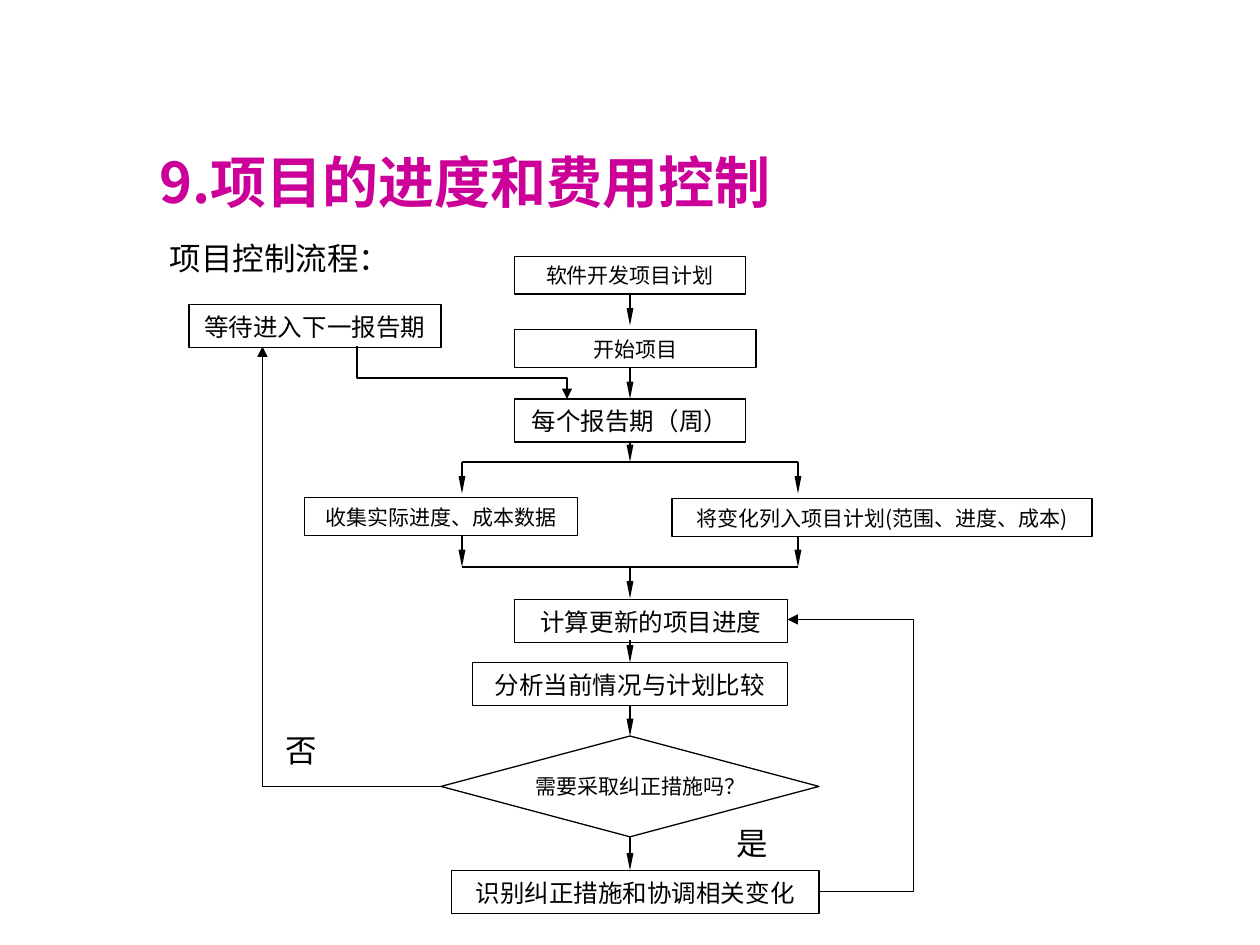
from lxml import etree
from pptx import Presentation
from pptx.dml.color import RGBColor
from pptx.enum.shapes import MSO_CONNECTOR, MSO_SHAPE
from pptx.enum.text import MSO_ANCHOR, MSO_AUTO_SIZE, PP_ALIGN
from pptx.oxml.ns import qn
from pptx.util import Pt

PX = 7620  # 120 px to the inch
FONT = "Noto Sans CJK SC"
BLACK, WHITE, MAGENTA = "000000", "FFFFFF", "CC0099"
RECT, DECISION = MSO_SHAPE.RECTANGLE, MSO_SHAPE.FLOWCHART_DECISION
STRAIGHT = MSO_CONNECTOR.STRAIGHT
TOP, MIDDLE, BOTTOM = MSO_ANCHOR.TOP, MSO_ANCHOR.MIDDLE, MSO_ANCHOR.BOTTOM
LEFT, CENTER = PP_ALIGN.LEFT, PP_ALIGN.CENTER
FIT = MSO_AUTO_SIZE.SHAPE_TO_FIT_TEXT


def write(box, text, size, align, anchor, color=BLACK, bold=False):
    frame = box.text_frame
    frame.word_wrap = True
    frame.auto_size = FIT
    frame.vertical_anchor = anchor
    para = frame.paragraphs[0]
    para.alignment = align
    span = para.add_run()
    span.text = text
    span.font.size = Pt(size)
    span.font.bold = bold
    span.font.name = FONT
    span.font.color.rgb = RGBColor.from_string(color)
    props = span.font._element
    etree.SubElement(props, qn("a:ea")).set("typeface", FONT)


def draw_line(shape, width=None, length=None):
    """Thin black line; an arrowhead at its end when a head size is given."""
    shape.line.color.rgb = RGBColor.from_string(BLACK)
    shape.line.width = Pt(0.75)
    if width:
        head = etree.SubElement(shape.line._get_or_add_ln(), qn("a:tailEnd"))
        for key, value in (("type", "triangle"), ("w", width), ("len", length)):
            head.set(key, value)


deck = Presentation()
deck.slide_width, deck.slide_height = 1200 * PX, 900 * PX
page = deck.slides.add_slide(deck.slide_layouts[6])

# Title and labels
for text, left, top, width, height, size, color, bold in (
    ("9.项目的进度和费用控制", 140, 100, 1020, 110, 32, MAGENTA, True),
    ("项目控制流程：", 150, 222, 390, 48, 18, BLACK, False),
    ("否", 260, 690, 130, 48, 18, BLACK, False),
    ("是", 690, 779, 130, 48, 18, BLACK, False),
):
    label = page.shapes.add_textbox(left * PX, top * PX, width * PX, height * PX)
    write(label, text, size, LEFT, BOTTOM, color, bold)
    if bold:
        label.text_frame.auto_size = MSO_AUTO_SIZE.NONE

# Steps of the flow
steps = {}
for name, text, left, top, width, height, size in (
    ("plan", "软件开发项目计划", 490, 244, 220, 36, 12),
    ("start", "开始项目", 490, 314, 230, 36, 12),
    ("period", "每个报告期（周）", 490, 380, 220, 41, 14),
    ("collect", "收集实际进度、成本数据", 290, 474, 260, 36, 12),
    ("changes", "将变化列入项目计划(范围、进度、成本)", 640, 475, 400, 36, 12),
    ("update", "计算更新的项目进度", 490, 571, 260, 41, 14),
    ("analyse", "分析当前情况与计划比较", 450, 631, 300, 41, 14),
    ("decision", "需要采取纠正措施吗？", 420, 701, 360, 96, 12),
    ("correct", "识别纠正措施和协调相关变化", 430, 829, 350, 41, 14),
    ("wait", "等待进入下一报告期", 180, 290, 240, 41, 14),
):
    is_decision = name == "decision"
    step = page.shapes.add_shape(DECISION if is_decision else RECT,
                                 left * PX, top * PX, width * PX, height * PX)
    step.shadow.inherit = False
    step.fill.solid()
    step.fill.fore_color.rgb = RGBColor.from_string(WHITE)
    draw_line(step)
    write(step, text, size, CENTER, MIDDLE if is_decision else BOTTOM)
    if is_decision:
        frame = step.text_frame
        frame.margin_left = frame.margin_right = 0
        frame.margin_top = frame.margin_bottom = 0
    steps[name] = step

# Straight lines: start, end, arrowhead, joined steps
MAIN, LEFT_BRANCH, RIGHT_BRANCH = 600, 440, 760
for x1, y1, x2, y2, arrow, source, target in (
    (MAIN, 280, MAIN, 310, True, "plan", None),
    (MAIN, 350, MAIN, 380, True, None, "period"),
    (MAIN, 421, MAIN, 440, True, "period", None),
    (LEFT_BRANCH, 440, RIGHT_BRANCH, 440, False, None, None),
    (LEFT_BRANCH, 440, LEFT_BRANCH, 470, True, None, None),
    (RIGHT_BRANCH, 440, RIGHT_BRANCH, 470, True, None, None),
    (LEFT_BRANCH, 510, LEFT_BRANCH, 540, True, None, None),
    (RIGHT_BRANCH, 510, RIGHT_BRANCH, 540, True, None, None),
    (LEFT_BRANCH, 540, RIGHT_BRANCH, 540, False, None, None),
    (MAIN, 540, MAIN, 570, True, None, None),
    (MAIN, 610, MAIN, 631, True, None, "analyse"),
    (MAIN, 672, MAIN, 701, True, "analyse", "decision"),
    (MAIN, 797, MAIN, 829, True, "decision", None),
):
    link = page.shapes.add_connector(STRAIGHT, x1 * PX, y1 * PX, x2 * PX, y2 * PX)
    etree.SubElement(link._element.spPr, qn("a:effectLst"))
    if arrow:
        draw_line(link, "sm", "lg")
    else:
        draw_line(link)
    if source:
        link.begin_connect(steps[source], 2)
    if target:
        link.end_connect(steps[target], 0)

# Bent return paths
for first, *rest in (
    ((420, 749), (250, 749), (250, 330)),
    ((340, 330), (340, 360), (540, 360), (540, 380)),
    ((780, 849), (870, 849), (870, 590), (750, 590)),
):
    builder = page.shapes.build_freeform(*first, scale=PX)
    builder.add_line_segments(rest, close=False)
    route = builder.convert_to_shape()
    route.shadow.inherit = False
    route.fill.background()
    draw_line(route, "med", "med")

deck.save("out.pptx")
